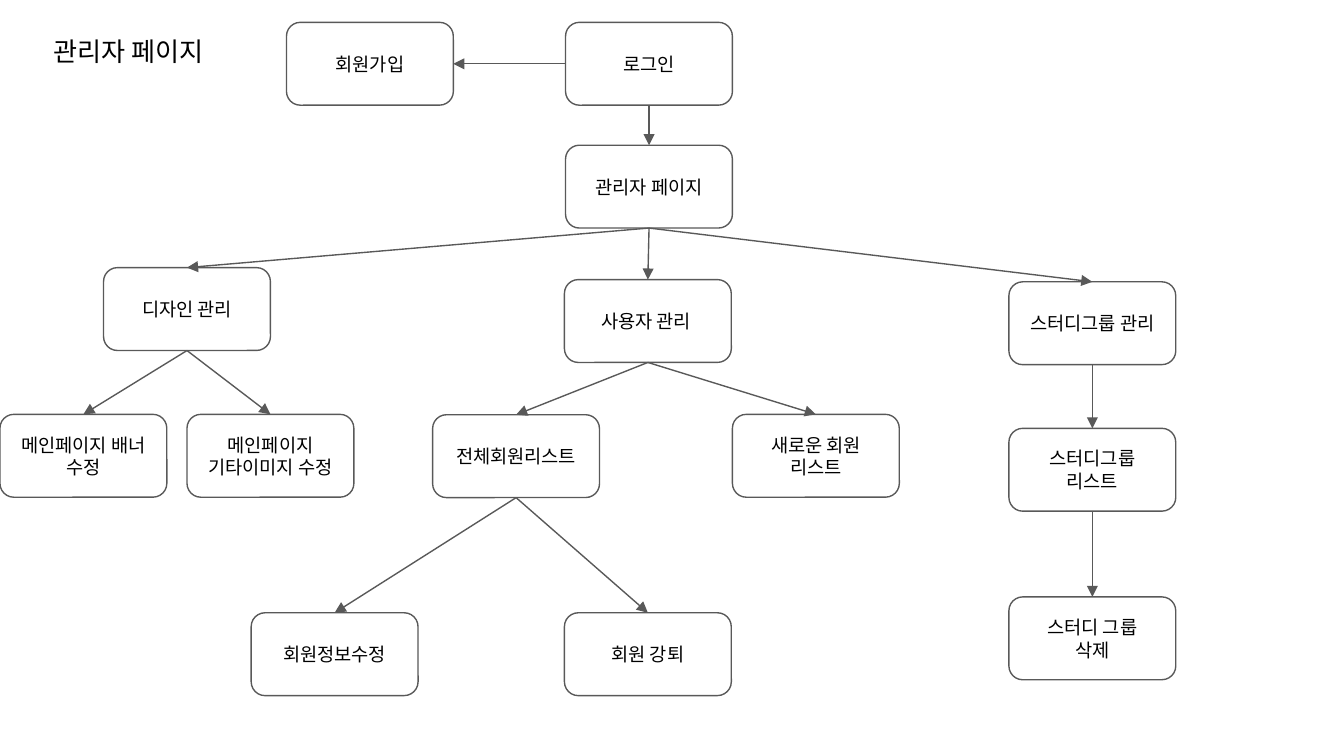
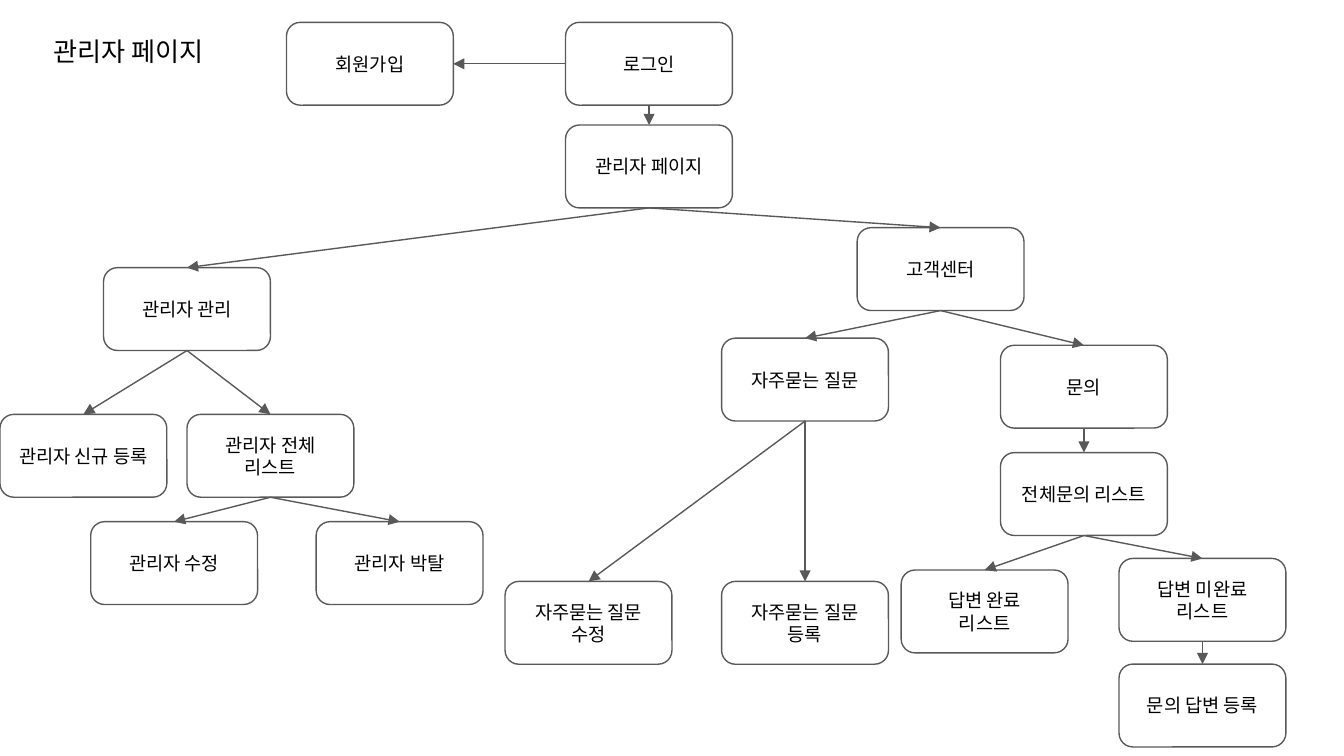
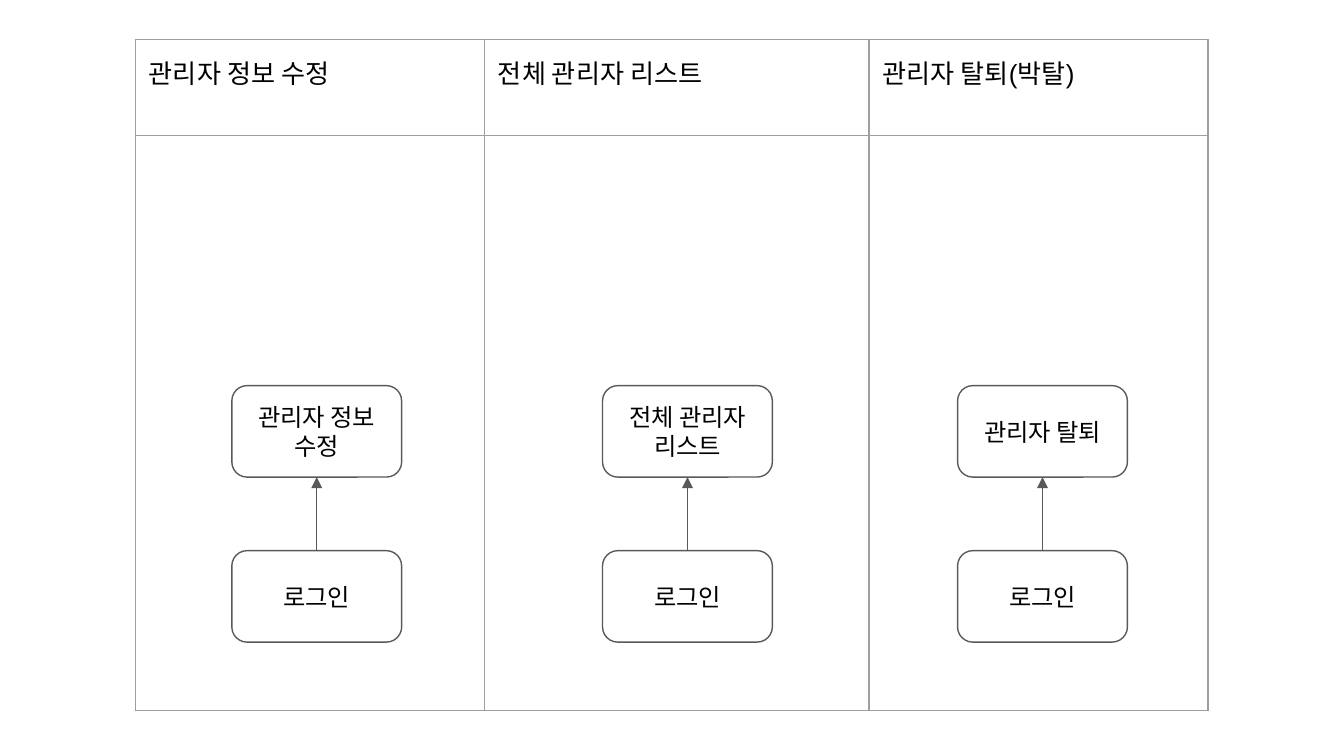
from typing import Any, NamedTuple

from pptx import Presentation
from pptx.dml.color import RGBColor
from pptx.enum import shapes, text
from pptx.oxml import parse_xml
from pptx.oxml.ns import nsdecls
from pptx.util import Pt

BLACK = RGBColor(0x00, 0x00, 0x00)
WHITE = RGBColor(0xFF, 0xFF, 0xFF)
OUTLINE = RGBColor(0x59, 0x59, 0x59)
GRID = RGBColor(0x9E, 0x9E, 0x9E)

FONT = "Arial"
INSET = 7.2
LINE_WIDTH = 0.75
TOP, LEFT, BOTTOM, RIGHT = range(4)
TITLE = "관리자 페이지"


class Box(NamedTuple):
    label: str
    left: float
    top: float
    indent: float = 0  # above zero: left-aligned with this indent


class Link(NamedTuple):
    start: str
    end: str
    start_side: int = BOTTOM
    end_side: int = TOP


class BoxStyle(NamedTuple):
    width: float
    height: float
    font_size: float


TREE_BOX = BoxStyle(89.4, 44.4, 10)
STEP_BOX = BoxStyle(91, 49, 13)

ENTRY_BOXES = {
    "login": Box("로그인", 303, 12),
    "signup": Box("회원가입", 153.5, 12),
}
ENTRY_LINKS = [Link("login", "admin"), Link("login", "signup", LEFT, RIGHT)]

MANAGEMENT_BOXES = {
    "admin": Box("관리자 페이지", 303, 77.8),
    "study": Box("스터디그룹 관리", 540.5, 151),
    "design": Box("디자인 관리", 55.5, 143.4),
    "users": Box("사용자 관리", 302.4, 149.8, indent=10.4),
    "banner": Box("메인페이지 배너 수정", 0, 222),
    "images": Box("메인페이지 기타이미지 수정", 100.2, 222),
    "members": Box("전체회원리스트", 231.8, 222.2),
    "edit": Box("회원정보수정", 134.6, 328.3),
    "expel": Box("회원 강퇴", 302.4, 328.3),
    "newcomers": Box("새로운 회원 리스트", 392.4, 222),
    "groups": Box("스터디그룹 리스트", 540.5, 229.5),
    "delete": Box("스터디 그룹\n삭제", 540.5, 319.8),
}
MANAGEMENT_LINKS = [
    Link("admin", "users"),
    Link("admin", "design"),
    Link("design", "banner"),
    Link("design", "images"),
    Link("users", "members"),
    Link("members", "edit"),
    Link("members", "expel"),
    Link("users", "newcomers"),
    Link("study", "groups"),
    Link("groups", "delete"),
    Link("admin", "study"),
]

SUPPORT_BOXES = {
    "admin": Box("관리자 페이지", 303, 67),
    "support": Box("고객센터", 459.2, 122),
    "admins": Box("관리자 관리", 55.5, 143.4),
    "register": Box("관리자 신규 등록", 0, 222),
    "admin_list": Box("관리자 전체 리스트", 100.2, 222),
    "faq": Box("자주묻는 질문", 386.6, 181.2),
    "faq_add": Box("자주묻는 질문 등록", 386.6, 311.5),
    "faq_edit": Box("자주묻는 질문 수정", 270.6, 311.5),
    "inquiry": Box("문의", 536, 185),
    "inquiries": Box("전체문의 리스트", 536, 242.5),
    "answered": Box("답변 완료\n리스트", 482.8, 305.4),
    "unanswered": Box("답변 미완료\n리스트", 599.5, 299.2),
    "answer": Box("문의 답변 등록", 599.5, 355.8),
    "admin_edit": Box("관리자 수정", 48.6, 279.5),
    "admin_revoke": Box("관리자 박탈", 169.4, 279.5),
}
SUPPORT_LINKS = [
    Link("admins", "register"),
    Link("admins", "admin_list"),
    Link("support", "inquiry"),
    Link("inquiry", "inquiries"),
    Link("inquiries", "unanswered"),
    Link("unanswered", "answer"),
    Link("support", "faq"),
    Link("faq", "faq_edit"),
    Link("faq", "faq_add"),
    Link("inquiries", "answered"),
    Link("admin", "admins"),
    Link("admin", "support"),
    Link("admin_list", "admin_edit"),
    Link("admin_list", "admin_revoke"),
]

TABLE_LEFT, TABLE_TOP = 72.6, 21.2
COLUMN_WIDTHS = [187, 206, 181.6]
ROW_HEIGHTS = [51.3, 154, 154]
HEADINGS = ["관리자 정보 수정", "전체 관리자 리스트", "관리자 탈퇴(박탈)"]
STEPS = [
    ("관리자 정보 수정", 124.2),
    ("전체 관리자 리스트", 322.8),
    ("관리자 탈퇴", 513),
]
GOAL_TOP, LOGIN_TOP = 206.6, 295


def set_all(target: Any, values: dict[str, Any]) -> None:
    for name, value in values.items():
        setattr(target, name, value)


def write(frame: Any, words: str, size: float) -> None:
    """Fill a text frame, one paragraph for each line of words."""
    frame.text = words
    for para in frame.paragraphs:
        set_all(para.font, {"name": FONT, "size": Pt(size)})
        para.font.color.rgb = BLACK
        for span in para.runs:
            set_all(span.font, {"name": FONT, "size": Pt(size)})
            span.font.color.rgb = BLACK


def set_insets(target: Any) -> None:
    sides = ("left", "top", "right", "bottom")
    set_all(target, {f"margin_{side}": Pt(INSET) for side in sides})


def style_line(line: Any) -> None:
    line.color.rgb = OUTLINE
    line.width = Pt(LINE_WIDTH)


def draw_box(page: Any, box: Box, style: BoxStyle) -> Any:
    shape = page.shapes.add_shape(
        shapes.MSO_SHAPE.ROUNDED_RECTANGLE,
        Pt(box.left), Pt(box.top), Pt(style.width), Pt(style.height),
    )
    shape.shadow.inherit = False
    shape.fill.solid()
    shape.fill.fore_color.rgb = WHITE
    style_line(shape.line)
    frame = shape.text_frame
    set_insets(frame)
    set_all(frame, {"word_wrap": True, "vertical_anchor": text.MSO_ANCHOR.MIDDLE})
    write(frame, box.label, style.font_size)
    for para in frame.paragraphs:
        para.alignment = text.PP_ALIGN.LEFT if box.indent else text.PP_ALIGN.CENTER
        if box.indent:
            para._p.get_or_add_pPr().set("marL", str(Pt(box.indent)))
    return shape


def draw_arrow(page: Any, start: Any, start_side: int, end: Any, end_side: int) -> None:
    arrow = page.shapes.add_connector(shapes.MSO_CONNECTOR.STRAIGHT, 0, 0, 0, 0)
    arrow.begin_connect(start, start_side)
    arrow.end_connect(end, end_side)
    style_line(arrow.line)
    arrow.line._get_or_add_ln().append(
        parse_xml(f'<a:tailEnd {nsdecls("a")} type="triangle"/>'))
    arrow._element.spPr.append(parse_xml(f'<a:effectLst {nsdecls("a")}/>'))


def draw_flow(page: Any, boxes: dict[str, Box], links: list[Link], style: BoxStyle) -> None:
    drawn = {key: draw_box(page, box, style) for key, box in boxes.items()}
    for link in links:
        draw_arrow(page, drawn[link.start], link.start_side,
                   drawn[link.end], link.end_side)


def draw_title(page: Any) -> None:
    frame = page.shapes.add_textbox(Pt(21.6), Pt(12), Pt(142.6), Pt(31.7)).text_frame
    set_insets(frame)
    set_all(frame, {"word_wrap": True, "auto_size": text.MSO_AUTO_SIZE.SHAPE_TO_FIT_TEXT})
    write(frame, TITLE, 14)


def draw_tree(page: Any, boxes: dict[str, Box], links: list[Link]) -> None:
    draw_title(page)
    draw_flow(page, ENTRY_BOXES | boxes, ENTRY_LINKS + links, TREE_BOX)


def style_cell(cell: Any) -> None:
    set_insets(cell)
    properties = cell._tc.get_or_add_tcPr()
    for side in "LRTB":
        properties.append(parse_xml(
            f'<a:ln{side} {nsdecls("a")} w="{Pt(LINE_WIDTH)}"><a:solidFill>'
            f'<a:srgbClr val="{GRID}"/></a:solidFill></a:ln{side}>'))
    cell.fill.background()


def draw_lanes(page: Any) -> None:
    """Draw the table whose headings name the three columns."""
    table = page.shapes.add_table(
        len(ROW_HEIGHTS), len(COLUMN_WIDTHS), Pt(TABLE_LEFT), Pt(TABLE_TOP),
        Pt(sum(COLUMN_WIDTHS)), Pt(sum(ROW_HEIGHTS)),
    ).table
    set_all(table, {"first_row": False, "horz_banding": False})
    for row, height in zip(table.rows, ROW_HEIGHTS):
        row.height = Pt(height)
    for cell in table.iter_cells():
        style_cell(cell)
    for index, (heading, width) in enumerate(zip(HEADINGS, COLUMN_WIDTHS)):
        table.columns[index].width = Pt(width)
        write(table.cell(0, index).text_frame, heading, 14)
        table.cell(1, index).merge(table.cell(2, index))


def main() -> None:
    deck = Presentation()
    set_all(deck, {"slide_width": Pt(720), "slide_height": Pt(405)})
    management, support, lanes = (
        deck.slides.add_slide(deck.slide_layouts[6]) for _ in range(3))

    draw_tree(management, MANAGEMENT_BOXES, MANAGEMENT_LINKS)
    draw_tree(support, SUPPORT_BOXES, SUPPORT_LINKS)

    draw_lanes(lanes)
    for label, left in STEPS:
        steps = {"login": Box("로그인", left, LOGIN_TOP), "goal": Box(label, left, GOAL_TOP)}
        draw_flow(lanes, steps, [Link("login", "goal", TOP, BOTTOM)], STEP_BOX)

    deck.save("out.pptx")


if __name__ == "__main__":
    main()
